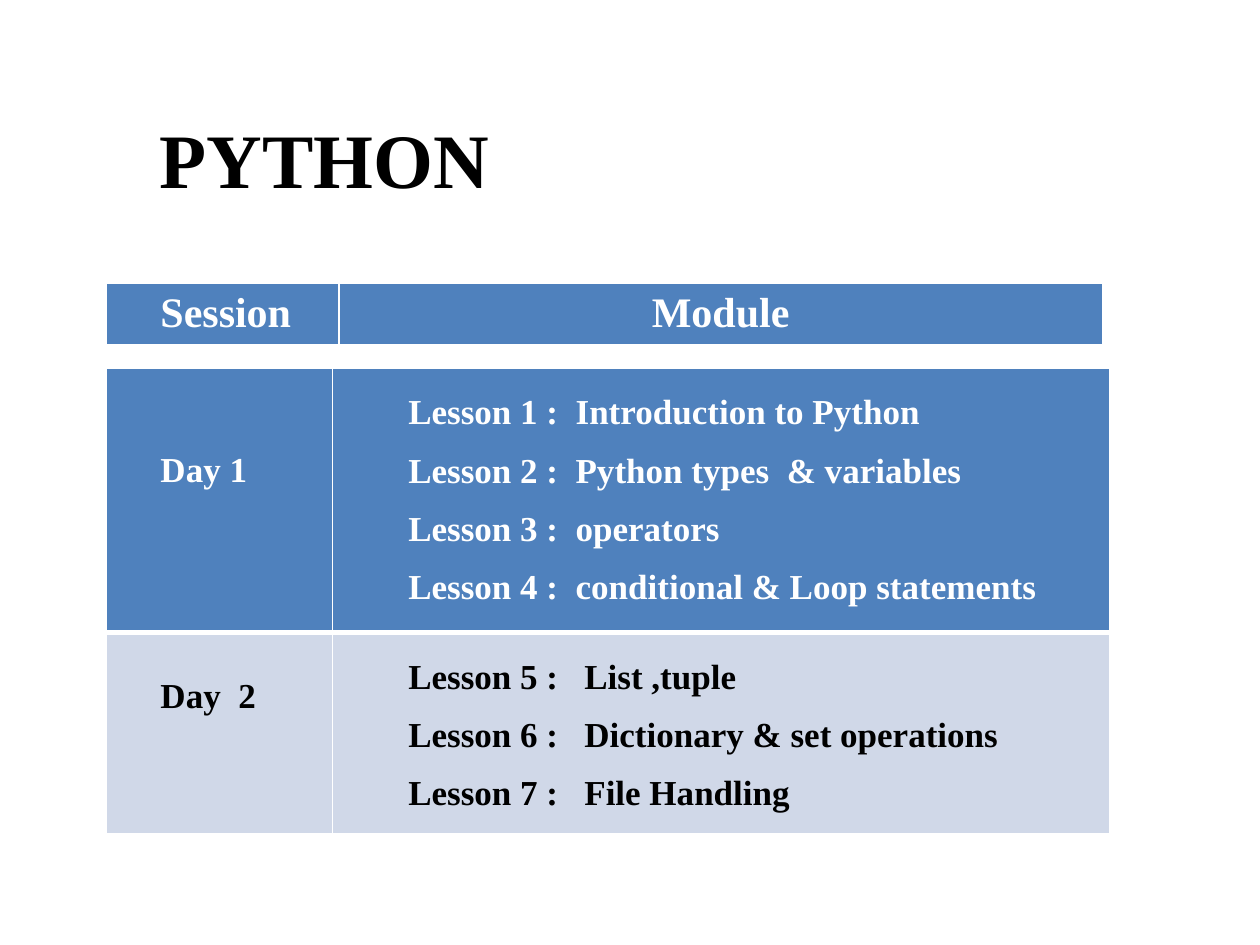
from lxml import etree
from pptx import Presentation
from pptx.dml.color import RGBColor
from pptx.enum import text
from pptx.oxml import ns
from pptx.util import Pt

BLACK = RGBColor(0x00, 0x00, 0x00)
WHITE = RGBColor(0xFF, 0xFF, 0xFF)
BLUE = RGBColor(0x4F, 0x81, 0xBD)
PALE_BLUE = RGBColor(0xD0, 0xD8, 0xE8)
FONT = "Times New Roman"

TABLE_LEFT = 60.5
INDENT = 24
LESSON_INDENT = 36
INSET = 3.6
BLANK_LINE = 22

DAY_1_LESSONS = [
    "Lesson 1 :  Introduction to Python",
    "Lesson 2 :  Python types  & variables",
    "Lesson 3 :  operators",
    "Lesson 4 :  conditional & Loop statements",
]
DAY_2_LESSONS = [
    "Lesson 5 :   List ,tuple",
    "Lesson 6 :   Dictionary & set operations",
    "Lesson 7 :   File Handling",
]


def write_lines(frame, lines, size, color, indent=0, spacing=None, align=None):
    frame.text = "\n".join(lines)
    for paragraph in frame.paragraphs:
        paragraph.alignment = align
        paragraph.line_spacing = spacing
        if indent:
            paragraph._p.get_or_add_pPr().set("marL", str(Pt(indent)))
        font = paragraph.font
        font.name, font.size, font.bold = FONT, Pt(size), True
        font.color.rgb = color


def add_title(slide, title):
    frame = slide.shapes.add_textbox(Pt(84.2), Pt(54), Pt(612), Pt(107.3)).text_frame
    frame.word_wrap = True
    frame.vertical_anchor = text.MSO_ANCHOR.TOP
    frame.margin_top = Pt(9.6)
    write_lines(frame, [title], 44, BLACK)


def add_plain_table(slide, top, widths, heights):
    table = slide.shapes.add_table(
        len(heights), len(widths), Pt(TABLE_LEFT), Pt(top),
        Pt(sum(widths)), Pt(sum(heights))).table
    table.first_row = table.horz_banding = False
    for column, width in zip(table.columns, widths):
        column.width = Pt(width)
    for row, height in zip(table.rows, heights):
        row.height = Pt(height)
    return table


def style_cell(cell, fill, top=1, bottom=3):
    # Borders go ahead of the fill in the cell properties
    properties = cell._tc.get_or_add_tcPr()
    for side, width in (("L", 1), ("R", 1), ("T", top), ("B", bottom)):
        line = etree.SubElement(properties, ns.qn("a:ln" + side), w=str(Pt(width)))
        solid = etree.SubElement(line, ns.qn("a:solidFill"))
        etree.SubElement(solid, ns.qn("a:srgbClr"), val=str(WHITE))
    cell.fill.solid()
    cell.fill.fore_color.rgb = fill


def add_header(slide):
    table = add_plain_table(slide, 162, [133.2, 436.3], [34.8])
    session, module = table.cell(0, 0), table.cell(0, 1)
    for cell in (session, module):
        style_cell(cell, BLUE)
    write_lines(session.text_frame, ["Session"], 24, WHITE, INDENT)
    write_lines(module.text_frame, ["Module"], 24, WHITE, align=text.PP_ALIGN.CENTER)


def add_schedule(slide):
    table = add_plain_table(slide, 210.2, [129.6, 444.2], [140.5, 107])
    # Day label, lines above it, lessons, fill, text colour, top and bottom border
    days = [
        ("Day 1", 2, DAY_1_LESSONS, BLUE, WHITE, 1, 3),
        ("Day  2", 1, DAY_2_LESSONS, PALE_BLUE, BLACK, 3, 1),
    ]
    for row, (label, lines_above, lessons, fill, color, top, bottom) in enumerate(days):
        day, module = table.cell(row, 0), table.cell(row, 1)
        for cell in (day, module):
            style_cell(cell, fill, top, bottom)
        day.margin_top = Pt(INSET + lines_above * BLANK_LINE)
        write_lines(day.text_frame, [label], 20, color, INDENT)
        write_lines(module.text_frame, lessons, 20, color, LESSON_INDENT, 1.5)


def main():
    presentation = Presentation()
    presentation.slide_width, presentation.slide_height = Pt(720), Pt(540)
    slide = presentation.slides.add_slide(presentation.slide_layouts[6])
    add_title(slide, "PYTHON")
    add_schedule(slide)
    add_header(slide)
    presentation.save("out.pptx")


if __name__ == "__main__":
    main()
